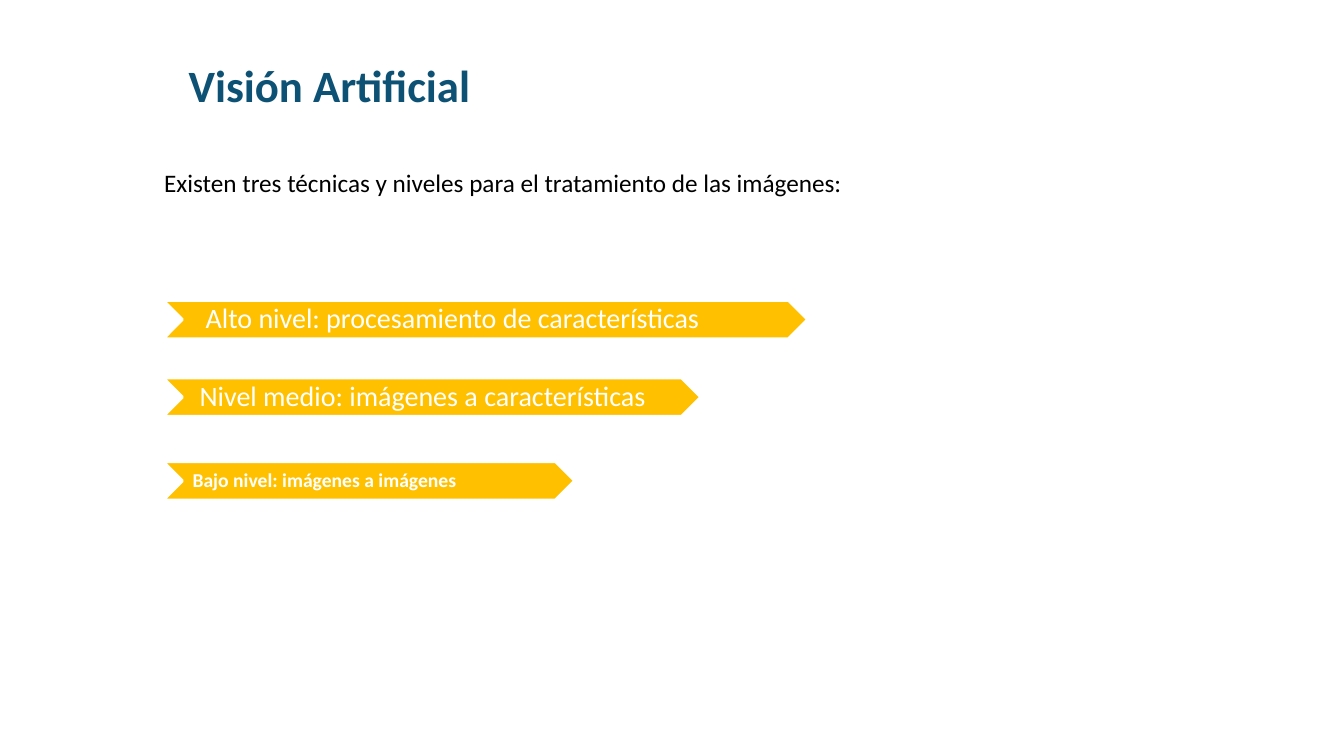
from dataclasses import dataclass

from pptx import Presentation
from pptx import util as u
from pptx.dml.color import RGBColor
from pptx.enum import shapes, text


@dataclass(frozen=True)
class Theme:
    font: str = "Calibri"
    heading: str = "0D5274"
    body: str = "000000"
    accent: str = "FFC000"
    light: str = "FFFFFF"
    title_size: int = 32
    intro_size: int = 18
    level_size: int = 20
    small_size: int = 14


theme = Theme()


def write_text(shape, content, size, color, bold=False, spacing=1.0,
               anchor=text.MSO_ANCHOR.TOP, insets=(0.1, 0.05, 0.1, 0.05)):
    frame = shape.text_frame
    frame.word_wrap = True
    frame.auto_size = text.MSO_AUTO_SIZE.NONE
    frame.vertical_anchor = anchor
    (frame.margin_left, frame.margin_top,
     frame.margin_right, frame.margin_bottom) = [u.Inches(inset) for inset in insets]
    paragraph = frame.paragraphs[0]
    paragraph.alignment = text.PP_ALIGN.LEFT
    paragraph.line_spacing = spacing
    run = paragraph.add_run()
    run.text = content
    run.font.name = theme.font
    run.font.size = u.Pt(size)
    run.font.bold = bold
    run.font.color.rgb = RGBColor.from_string(color)


presentation = Presentation()
presentation.slide_width = u.Inches(13.33)
presentation.slide_height = u.Inches(7.5)
slide = presentation.slides.add_slide(presentation.slide_layouts[5])

# Title
title = slide.shapes.title
title.left, title.top = u.Inches(1.77), u.Inches(0.52)
title.width, title.height = u.Inches(7.49), u.Inches(0.64)
write_text(title, "Visión Artificial", theme.title_size, theme.heading, bold=True)

# Introduction
intro = slide.shapes.add_textbox(
    u.Inches(1.53), u.Inches(1.61), u.Inches(7.19), u.Inches(0.4))
write_text(intro, "Existen tres técnicas y niveles para el tratamiento de las imágenes:",
           theme.intro_size, theme.body)

# Processing levels: chevron top and width, label left and width, label format
band_left, band_height = u.Inches(1.62), u.Inches(0.38)
levels = [
    ("Alto nivel: procesamiento de características",
     2.98, 6.39, 1.98, 5.93, theme.level_size, False),
    ("Nivel medio: imágenes a características",
     3.75, 5.33, 1.92, 4.95, theme.level_size, False),
    ("Bajo nivel: imágenes a imágenes",
     4.58, 4.08, 1.85, 3.63, theme.small_size, True),
]
for content, top, width, label_left, label_width, size, bold in levels:
    group = slide.shapes.add_group_shape()
    chevron = group.shapes.add_shape(
        shapes.MSO_SHAPE.CHEVRON, band_left, u.Inches(top), u.Inches(width), band_height)
    chevron.shadow.inherit = False
    chevron.adjustments[0] = 0.5
    chevron.fill.solid()
    chevron.fill.fore_color.rgb = RGBColor.from_string(theme.accent)
    chevron.line.color.rgb = RGBColor.from_string(theme.light)
    chevron.line.width = u.Pt(2)
    label = group.shapes.add_textbox(
        u.Inches(label_left), u.Inches(top), u.Inches(label_width), band_height)
    write_text(label, content, size, theme.light, bold=bold, spacing=0.9,
               anchor=text.MSO_ANCHOR.MIDDLE, insets=(0.06, 0.02, 0.02, 0.02))

presentation.save("out.pptx")
